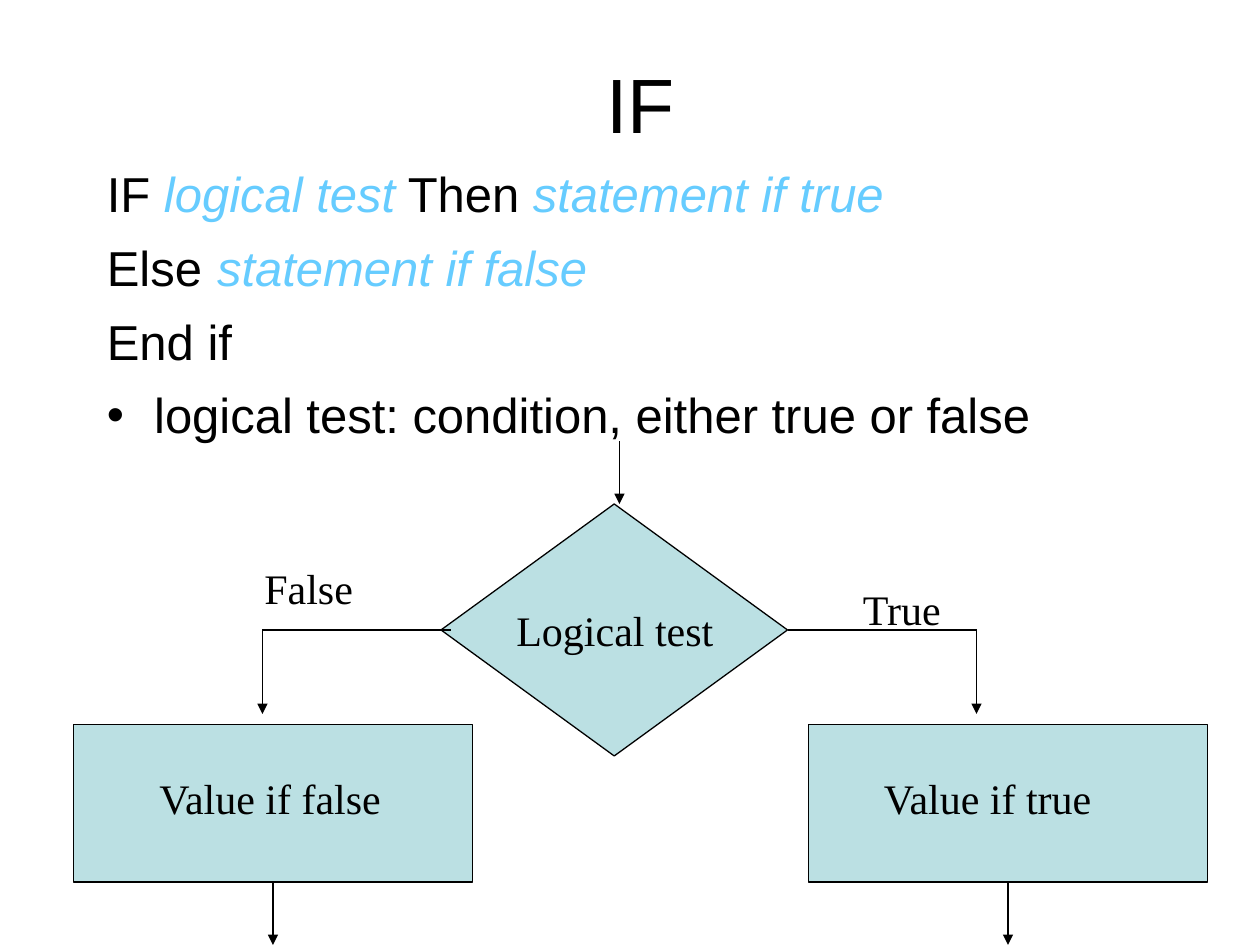
"""Build a slide that explains IF with its syntax and a flowchart."""
import pptx
import pptx.util
import pptx.dml.color
import pptx.enum.shapes
import pptx.enum.text
import pptx.oxml.ns
import lxml.etree
import dataclasses

PX = 7620


@dataclasses.dataclass(frozen=True)
class Theme:
    ink: str = "000000"
    accent: str = "66CCFF"
    fill: str = "BBE0E3"
    sans: str = "Arial"
    serif: str = "Times New Roman"
    title: int = 44
    body: int = 28
    label: int = 24
    line: float = 0.75


theme = Theme()
rgb = pptx.dml.color.RGBColor.from_string
shapes = pptx.enum.shapes.MSO_SHAPE


def style(r, font, size, color):
    r.font.name = font
    r.font.size = pptx.util.Pt(size)
    r.font.color.rgb = rgb(color)


def add_xml(parent, tag, **attrs):
    return lxml.etree.SubElement(parent, pptx.oxml.ns.qn(tag), attrs)


prs = pptx.Presentation()
prs.slide_width, prs.slide_height = 1200 * PX, 900 * PX
s = prs.slides.add_slide(prs.slide_layouts[5])

title = s.shapes.title
title.left, title.top, title.width, title.height = 70 * PX, 40 * PX, 1080 * PX, 116 * PX
tf = title.text_frame
tf.text = "IF"
tf.vertical_anchor = pptx.enum.text.MSO_ANCHOR.MIDDLE
tf.paragraphs[0].alignment = pptx.enum.text.PP_ALIGN.CENTER
style(tf.paragraphs[0].runs[0], theme.sans, theme.title, theme.ink)

syntax = [
    (False, [("IF ", False), ("logical test", True), (" Then ", False), ("statement if true", True)]),
    (False, [("Else\t", False), ("statement if false", True)]),
    (False, [("End if", False)]),
    (True, [("logical test: condition, either true or false", False)]),
]
tf = s.shapes.add_textbox(90 * PX, 150 * PX, 1030 * PX, 290 * PX).text_frame
tf.word_wrap = True
for i, (bulleted, parts) in enumerate(syntax):
    p = tf.add_paragraph() if i else tf.paragraphs[0]
    p.space_before = pptx.util.Pt(8.5)
    pPr = p._p.get_or_add_pPr()
    pPr.set("marL", str(45 * PX))
    pPr.set("indent", str(-45 * PX))
    if bulleted:
        add_xml(pPr, "a:buFont", typeface=theme.sans)
        add_xml(pPr, "a:buChar", char="•")
    else:
        add_xml(pPr, "a:buNone")
        tabs = add_xml(pPr, "a:tabLst")
        for stop in range(8):
            add_xml(tabs, "a:tab", pos=str(stop * 120 * PX), algn="l")
    for text, variable in parts:
        r = p.add_run()
        r.text = text
        style(r, theme.sans, theme.body, theme.accent if variable else theme.ink)
        r.font.italic = variable

nodes = [
    (shapes.FLOWCHART_DECISION, 420, 480, 330, 240),
    (shapes.RECTANGLE, 70, 690, 380, 150),
    (shapes.RECTANGLE, 770, 690, 380, 150),
]
for kind, x, y, w, h in nodes:
    sp = s.shapes.add_shape(kind, x * PX, y * PX, w * PX, h * PX)
    sp.shadow.inherit = False
    sp.fill.solid()
    sp.fill.fore_color.rgb = rgb(theme.fill)
    sp.line.color.rgb = rgb(theme.ink)
    sp.line.width = pptx.util.Pt(theme.line)

labels = [
    ("Logical test", 480, 570, 230),
    ("Value if false", 140, 730, 250),
    ("Value if true", 830, 730, 230),
    ("False", 240, 530, 130),
    ("True", 810, 550, 240),
]
for text, x, y, w in labels:
    tf = s.shapes.add_textbox(x * PX, y * PX, w * PX, 60 * PX).text_frame
    tf.word_wrap = True
    tf.text = text
    style(tf.paragraphs[0].runs[0], theme.serif, theme.label, theme.ink)

flows = [
    (590, 420, 590, 480, True),
    (250, 600, 430, 600, False),
    (250, 600, 250, 680, True),
    (750, 600, 930, 600, False),
    (930, 600, 930, 680, True),
    (260, 840, 260, 900, True),
    (960, 840, 960, 900, True),
]
for x1, y1, x2, y2, arrow in flows:
    sp = s.shapes.add_connector(
        pptx.enum.shapes.MSO_CONNECTOR.STRAIGHT, x1 * PX, y1 * PX, x2 * PX, y2 * PX)
    sp.line.color.rgb = rgb(theme.ink)
    sp.line.width = pptx.util.Pt(theme.line)
    if arrow:
        add_xml(sp.line._get_or_add_ln(), "a:tailEnd", type="triangle")
    add_xml(sp._element.spPr, "a:effectLst")

prs.save("out.pptx")
